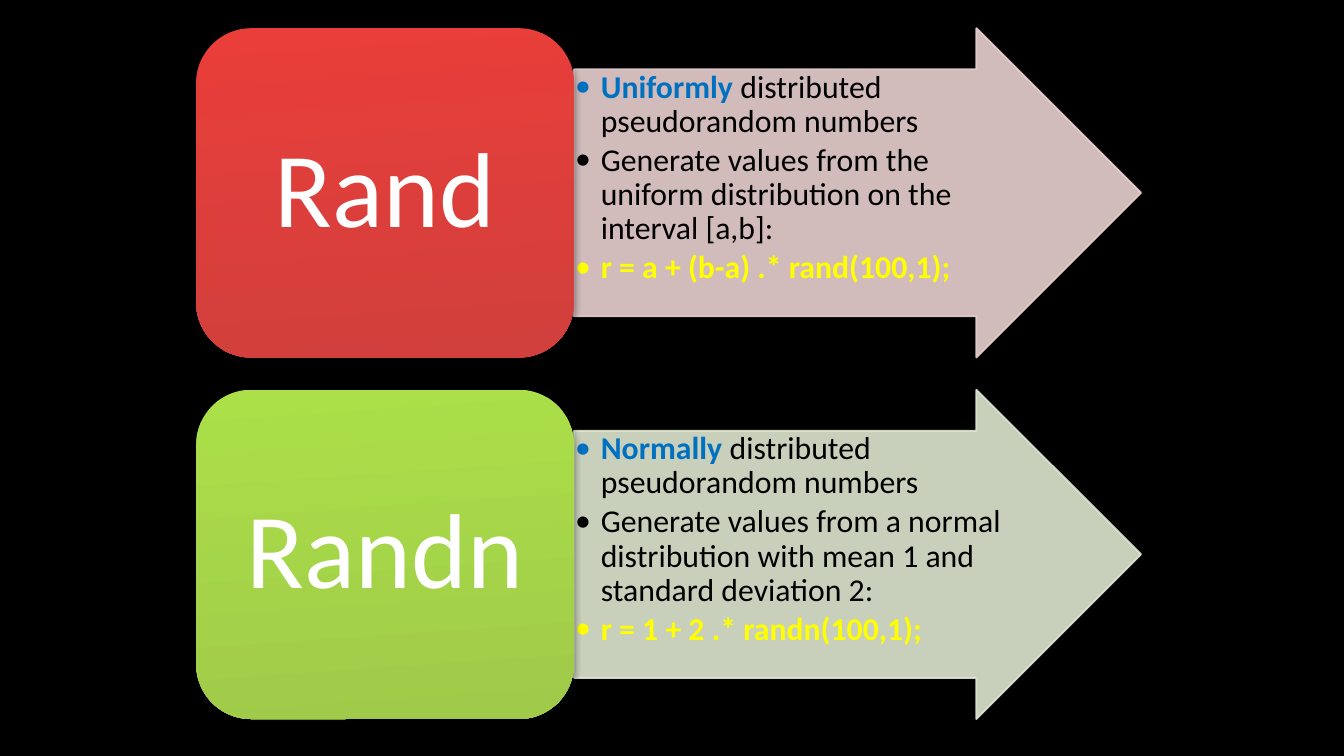
"""Build a slide comparing the rand and randn functions."""
from lxml.etree import SubElement
from pptx import Presentation
from pptx.dml.color import RGBColor
from pptx.enum.shapes import MSO_SHAPE
from pptx.enum.text import MSO_ANCHOR, PP_ALIGN
from pptx.oxml.ns import qn
from pptx.util import Inches, Pt

BLACK = RGBColor(0x00, 0x00, 0x00)
WHITE = RGBColor(0xFF, 0xFF, 0xFF)
BLUE = RGBColor(0x00, 0x70, 0xC0)
YELLOW = RGBColor(0xFF, 0xFF, 0x00)
PINK = RGBColor(0xE8, 0xD0, 0xD0)
SAGE = RGBColor(0xDE, 0xE7, 0xD1)
REDS = RGBColor(0xEA, 0x3E, 0x3A), RGBColor(0xD1, 0x40, 0x3C)
GREENS = RGBColor(0xAB, 0xE0, 0x48), RGBColor(0xA0, 0xCA, 0x4A)

ROWS = [
    ("Rand", REDS, PINK, [
        [("Uniformly", BLUE, True), (" distributed pseudorandom numbers", BLACK, False)],
        [("Generate values from the uniform distribution on the interval [a,b]:", BLACK, False)],
        [("r = a + (b-a) .* rand(100,1);", YELLOW, True)],
    ]),
    ("Randn", GREENS, SAGE, [
        [("Normally", BLUE, True), (" distributed pseudorandom numbers", BLACK, False)],
        [("Generate values from a normal distribution with mean 1 and standard deviation 2:", BLACK, False)],
        [("r = 1 + 2 .* randn(100,1);", YELLOW, True)],
    ]),
]


def add_box(shape_type, left, top, width, margin_x, margin_y):
    sp = s.shapes.add_shape(shape_type, Inches(left), Inches(top), Inches(width), Inches(2.45))
    sp.shadow.inherit = False
    effects = sp.element.spPr.find(qn("a:effectLst"))
    shadow = SubElement(effects, qn("a:outerShdw"), blurRad=str(Pt(4)), dist=str(Pt(2)),
                        dir="5400000", rotWithShape="0")
    color = SubElement(shadow, qn("a:srgbClr"), val="000000")
    SubElement(color, qn("a:alpha"), val="47000")
    tf = sp.text_frame
    tf.word_wrap = True
    tf.margin_left = tf.margin_right = Inches(margin_x)
    tf.margin_top = tf.margin_bottom = Inches(margin_y)
    return sp


def style_run(r, size, color, bold):
    r.font.name = "Calibri"
    r.font.size = Pt(size)
    r.font.bold = bold
    r.font.color.rgb = color


prs = Presentation()
prs.slide_width = Inches(10)
prs.slide_height = prs.slide_width * 9 // 16
s = prs.slides.add_slide(prs.slide_layouts[6])
s.background.fill.solid()
s.background.fill.fore_color.rgb = BLACK

for i, (name, shades, tint, bullets) in enumerate(ROWS):
    top = 0.21 + i * 2.69

    arrow = add_box(MSO_SHAPE.RIGHT_ARROW, 4.27, top, 4.22, 0.01, 0.01)
    arrow.adjustments[0] = 0.75
    arrow.adjustments[1] = 0.5
    arrow.fill.solid()
    arrow.fill.fore_color.rgb = tint
    arrow.line.color.rgb = tint
    arrow.line.width = Pt(1)
    for color in list(arrow.element.spPr.iter(qn("a:srgbClr"))):
        if color.get("val") == str(tint):
            SubElement(color, qn("a:alpha"), val="90000")

    tf = arrow.text_frame
    tf.vertical_anchor = MSO_ANCHOR.TOP
    for j, runs in enumerate(bullets):
        p = tf.add_paragraph() if j else tf.paragraphs[0]
        p.level = 1
        p.alignment = PP_ALIGN.LEFT
        pPr = p._p.get_or_add_pPr()
        pPr.set("marL", str(Inches(0.19)))
        pPr.set("indent", str(Inches(-0.19)))
        SubElement(pPr, qn("a:buFont"), typeface="Calibri")
        SubElement(pPr, qn("a:buChar"), char="•")
        p.line_spacing = 0.9
        p.space_after = Pt(2.5)
        for text, color, bold in runs:
            r = p.add_run()
            r.text = text
            style_run(r, 17, color, bold)

    label = add_box(MSO_SHAPE.ROUNDED_RECTANGLE, 1.46, top, 2.81, 0.24, 0.12)
    label.line.fill.background()
    label.fill.gradient()
    label.fill.gradient_angle = 274
    for stop, shade in zip(label.fill.gradient_stops, shades):
        stop.color.rgb = shade

    tf = label.text_frame
    tf.vertical_anchor = MSO_ANCHOR.MIDDLE
    tf.text = name
    p = tf.paragraphs[0]
    p.alignment = PP_ALIGN.CENTER
    p.line_spacing = 0.9
    style_run(p.runs[0], 57, WHITE, False)

prs.save("out.pptx")
